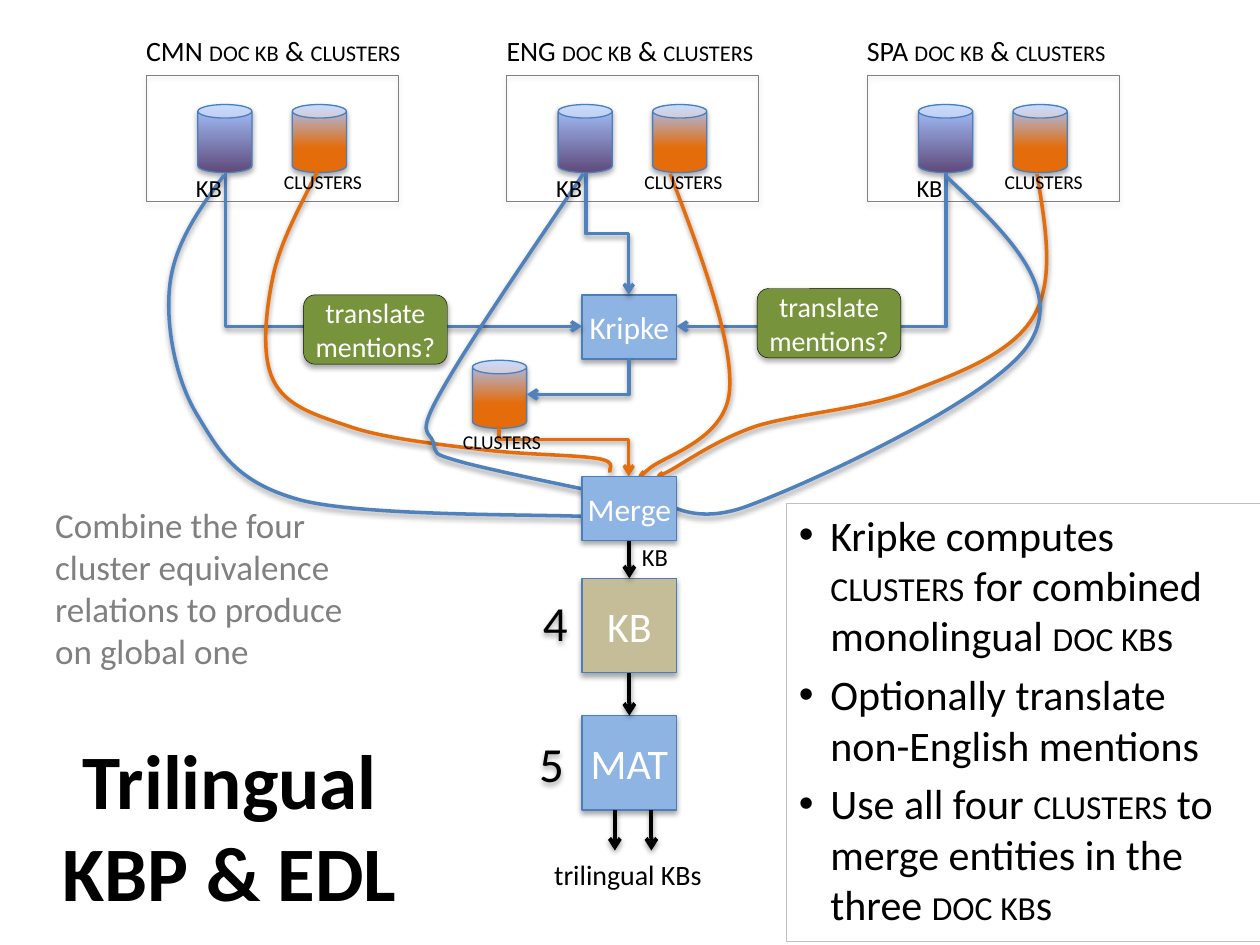
from lxml.etree import SubElement
from pptx import Presentation
from pptx.dml.color import RGBColor
from pptx.enum.shapes import MSO_CONNECTOR, MSO_SHAPE
from pptx.enum.text import MSO_ANCHOR, MSO_AUTO_SIZE, PP_ALIGN
from pptx.oxml.ns import qn
from pptx.util import Cm, Pt

BLUE, ORANGE, OUTLINE = "4F81BD", "E46C0A", "4B7EBC"
BLACK, WHITE, GRAY = "000000", "FFFFFF", "808080"
KB_GRADIENT = ((0, "604A7B"), (1, "A4C4FF"))
CLUSTER_GRADIENT = ((0.36, ORANGE), (1, "A4C4FF"))


def inches(*values):
    """Convert inch positions on the slide to lengths."""
    return [Cm(2.54 * value) for value in values]


def color(text):
    return RGBColor.from_string(text)


def set_values(target, values):
    for name, value in values.items():
        setattr(target, name, value)


class Diagram:
    """Holds the slide and the shared style of its elements."""
    font = "Calibri"

    def __init__(self, slide):
        self.slide = slide
        self.shapes = slide.shapes

    def shadow(self, shape, alpha=35, distance=23000):
        properties = shape.element.spPr
        effects = properties.find(qn("a:effectLst"))
        if effects is None:
            effects = SubElement(properties, qn("a:effectLst"))
        outer = SubElement(effects, qn("a:outerShdw"), blurRad="40000", dist=str(distance),
                           dir="5400000", rotWithShape="0")
        shade = SubElement(outer, qn("a:srgbClr"), val=BLACK)
        SubElement(shade, qn("a:alpha"), val=str(alpha * 1000))

    def line(self, shape, line_color, width):
        shape.line.color.rgb = color(line_color)
        shape.line.width = Pt(width)

    def add_words(self, paragraph, text, size, font_color=BLACK, bold=False):
        """Parts between bars are set in small capitals."""
        for index, part in enumerate(text.split("|")):
            if not part:
                continue
            run = paragraph.add_run()
            run.text = part
            set_values(run.font, {"name": self.font, "size": Pt(size), "bold": bold})
            run.font.color.rgb = color(font_color)
            if index % 2:
                run.font._element.set("cap", "small")

    def place(self, shape, box):
        set_values(shape, dict(zip(("left", "top", "width", "height"), inches(*box))))

    def no_margins(self, frame):
        set_values(frame, dict.fromkeys(
            ("margin_left", "margin_right", "margin_top", "margin_bottom"), Cm(0)))

    def title(self, lines, box):
        shape = self.shapes.title
        self.place(shape, box)
        paragraph = shape.text_frame.paragraphs[0]
        paragraph.alignment = PP_ALIGN.CENTER
        for index, text in enumerate(lines):
            if index:
                paragraph.add_line_break()
            self.add_words(paragraph, text, 44, bold=True)

    def bullets(self, items, box):
        shape = self.slide.placeholders[1]
        self.place(shape, box)
        self.line(shape, "BFBFBF", 0.25)
        frame = shape.text_frame
        indent = int(Cm(0.635))
        for index, text in enumerate(items):
            paragraph = frame.add_paragraph() if index else frame.paragraphs[0]
            properties = paragraph._p.get_or_add_pPr()
            properties.set("marL", str(indent))
            properties.set("indent", str(-indent))
            self.add_words(paragraph, text, 24)

    def text(self, text, box, size, font_color=BLACK, wrap=False, tight=False):
        shape = self.shapes.add_textbox(*inches(*box))
        frame = shape.text_frame
        set_values(frame, {"word_wrap": wrap, "auto_size": MSO_AUTO_SIZE.SHAPE_TO_FIT_TEXT})
        if tight:
            self.no_margins(frame)
        self.add_words(frame.paragraphs[0], text, size, font_color)
        return shape

    def box(self, box, fill=None, text="", size=18, line=(OUTLINE, 0.75),
            kind=MSO_SHAPE.RECTANGLE):
        shape = self.shapes.add_shape(kind, *inches(*box))
        shape.shadow.inherit = False
        if fill:
            shape.fill.solid()
            shape.fill.fore_color.rgb = color(fill)
        else:
            shape.fill.background()
        self.line(shape, *line)
        self.shadow(shape)
        frame = shape.text_frame
        self.no_margins(frame)
        set_values(frame, {"vertical_anchor": MSO_ANCHOR.MIDDLE, "word_wrap": True})
        frame.paragraphs[0].alignment = PP_ALIGN.CENTER
        self.add_words(frame.paragraphs[0], text, size, WHITE)
        return shape

    def store(self, left, top, gradient):
        shape = self.box((left, top, 0.43, 0.54), kind=MSO_SHAPE.CAN)
        shape.fill.gradient()
        shape.fill.gradient_angle = 90
        for stop, (position, stop_color) in zip(shape.fill.gradient_stops, gradient):
            stop.position = position
            stop.color.rgb = color(stop_color)

    def finish_connector(self, connector, line_color, width):
        self.line(connector, line_color, width)
        SubElement(connector.line._get_or_add_ln(), qn("a:tailEnd"), type="arrow")
        self.shadow(connector, 38, 20000)

    def arrow(self, begin, end, source=None, target=None):
        connector = self.shapes.add_connector(MSO_CONNECTOR.STRAIGHT, *inches(*begin, *end))
        if source and target:
            connector.begin_connect(source, 2)
            connector.end_connect(target, 0)
        self.finish_connector(connector, BLACK, 2.25)

    def elbow(self, begin, end, line_color=BLUE, bend=None):
        """Leaves downwards; turns once, or twice when bend is given."""
        across, down = end[0] - begin[0], end[1] - begin[1]
        middle_x, middle_y = begin[0] + across / 2, begin[1] + down / 2
        half_width, half_height = down / 2, abs(across) / 2
        connector = self.shapes.add_connector(MSO_CONNECTOR.ELBOW, *inches(
            middle_x - half_width, middle_y - half_height,
            middle_x + half_width, middle_y + half_height))
        transform = connector.element.spPr.find(qn("a:xfrm"))
        transform.set("rot", "16200000" if across > 0 else "5400000")
        if across > 0:
            transform.set("flipH", "1")
        geometry = connector.element.spPr.find(qn("a:prstGeom"))
        if bend is None:
            geometry.set("prst", "bentConnector2")
        else:
            SubElement(geometry.find(qn("a:avLst")), qn("a:gd"), name="adj1",
                       fmla=f"val {round(bend * 100000)}")
        self.finish_connector(connector, line_color, 2)

    def curve(self, line_color, *points):
        """A start point, then three points for each cubic section."""
        start, *others = [inches(*point) for point in points]
        builder = self.shapes.build_freeform(*start)
        builder.add_line_segments(others, close=False)
        shape = builder.convert_to_shape()
        segments = list(shape.element.iter(qn("a:lnTo")))
        for index in range(0, len(segments), 3):
            cubic = SubElement(segments[index].getparent(), qn("a:cubicBezTo"))
            for segment in segments[index:index + 3]:
                cubic.append(segment[0])
                segment.getparent().remove(segment)
        shape.shadow.inherit = False
        shape.fill.background()
        self.line(shape, line_color, 2)
        self.shadow(shape, 38, 20000)


def main():
    presentation = Presentation()
    presentation.slide_width, presentation.slide_height = inches(10, 7.5)
    diagram = Diagram(presentation.slides.add_slide(presentation.slide_layouts[1]))

    # Title and notes
    diagram.title(("Trilingual", "KBP & EDL"), (0.22, 5.92, 3.21, 1.25))
    diagram.bullets(("Kripke computes |clusters| for combined monolingual |doc kb|s",
                     "Optionally translate non-English mentions",
                     "Use all four |clusters| to merge entities in the three |doc kb|s"),
                    (6.24, 3.99, 3.76, 3.48))
    diagram.text("Combine the four cluster equivalence relations to produce on global one",
                 (0.34, 3.95, 2.5, 1.45), 20, GRAY, wrap=True)

    # Stores of the three languages
    columns = [1.16 + 2.86 * index for index in range(3)]
    for left, language, width in zip(columns, ("CMN", "ENG", "SPA"), (2.05, 1.99, 1.94)):
        diagram.store(left + 0.41, 0.83, KB_GRADIENT)
        diagram.store(left + 1.16, 0.83, CLUSTER_GRADIENT)
        diagram.box((left, 0.6, 2, 1), line=(GRAY, 0.25))
        diagram.text(f"{language} |doc kb| & |clusters", (left, 0.27, width, 0.27), 16, tight=True)
    diagram.store(3.75, 2.86, CLUSTER_GRADIENT)

    # Elbow arrows around Kripke
    diagram.box((4.62, 2.34, 0.75, 0.51), "8EB4E3", "Kripke")
    diagram.elbow((1.79, 1.37), (4.62, 2.59))
    diagram.elbow((7.51, 1.37), (5.37, 2.59))
    diagram.elbow((4.65, 1.37), (4.99, 2.34), bend=0.5)
    diagram.elbow((4.99, 2.84), (4.18, 3.13))
    diagram.elbow((3.96, 3.4), (4.99, 3.78), ORANGE, bend=0.23)

    # Curves from the stores to Merge
    diagram.curve(ORANGE, (5.32, 1.38), (5.57, 2.04), (5.82, 2.71), (5.79, 3.1), (5.76, 3.5),
                  (5.25, 3.62), (5.14, 3.73), (5.03, 3.83), (5.11, 3.74), (5.11, 3.74))
    diagram.curve(ORANGE, (8.23, 1.38), (8.3, 1.8), (8.37, 2.21), (8.21, 2.5), (8.05, 2.79),
                  (7.64, 2.95), (7.27, 3.09), (6.91, 3.24), (6.34, 3.28), (6.01, 3.38),
                  (5.68, 3.49), (5.41, 3.69), (5.29, 3.75), (5.17, 3.81), (5.26, 3.75), (5.26, 3.75))
    diagram.curve(ORANGE, (2.52, 1.36), (2.38, 1.64), (2.23, 1.91), (2.17, 2.18), (2.11, 2.46),
                  (2.07, 2.82), (2.17, 3.02), (2.27, 3.22), (2.49, 3.29), (2.76, 3.38),
                  (3.04, 3.48), (3.51, 3.53), (3.84, 3.57), (4.17, 3.61), (4.58, 3.61), (4.75, 3.64),
                  (4.91, 3.67), (4.82, 3.73), (4.84, 3.75))
    diagram.curve(BLUE, (4.63, 1.38), (4.17, 2.06), (3.7, 2.75), (3.5, 3.11), (3.3, 3.46),
                  (3.41, 3.42), (3.44, 3.51), (3.46, 3.6), (3.43, 3.6), (3.64, 3.66),
                  (3.84, 3.72), (4.67, 3.89), (4.67, 3.89))
    diagram.curve(BLUE, (1.78, 1.39), (1.58, 1.66), (1.39, 1.93), (1.35, 2.25), (1.31, 2.57),
                  (1.39, 3.01), (1.57, 3.3), (1.74, 3.58), (1.87, 3.83), (2.39, 3.97),
                  (2.9, 4.1), (4.29, 4.08), (4.67, 4.1))
    diagram.curve(BLUE, (7.51, 1.4), (7.98, 1.84), (8.44, 2.28), (8.18, 2.71), (7.92, 3.15),
                  (6.46, 3.82), (5.95, 4.01), (5.43, 4.21), (5.22, 3.92), (5.08, 3.9))

    # Translation steps
    for left, top in ((2.41, 2.34), (6.01, 2.29)):
        diagram.box((left, top, 1.14, 0.55), "77933C", "translate mentions?", 16,
                    (BLACK, 0.25), MSO_SHAPE.ROUNDED_RECTANGLE)

    # Merge pipeline
    merge = diagram.box((4.62, 3.78, 0.75, 0.51), "8EB4E3", "Merge")
    global_kb = diagram.box((4.62, 4.59, 0.75, 0.75), "C4BD97", "KB", 24)
    mat = diagram.box((4.62, 5.68, 0.75, 0.75), "8EB4E3", "MAT", 24)
    diagram.arrow((4.99, 4.28), (4.99, 4.59), merge, global_kb)
    diagram.arrow((4.99, 5.34), (4.99, 5.68), global_kb, mat)
    for x in (4.88, 5.17):
        diagram.arrow((x, 6.43), (x, 6.75))
    diagram.text("trilingual KBs", (4.3, 6.76, 1.39, 0.37), 16)
    for number, left, top in (("4", 4.21, 4.65), ("5", 4.18, 5.77)):
        diagram.shadow(diagram.text(number, (left, top, 0.4, 0.57), 28))

    # Store labels
    for left, top in [(column + 1.05, 1.31) for column in columns] + [(3.63, 3.37)]:
        diagram.text(" |clusters", (left, top, 0.68, 0.24), 14, tight=True)
    for left, top in [(column + 0.35, 1.37) for column in columns] + [(5.05, 4.3)]:
        diagram.text(" |KB", (left, top, 0.25, 0.24), 14, tight=True)

    presentation.save("out.pptx")


if __name__ == "__main__":
    main()
